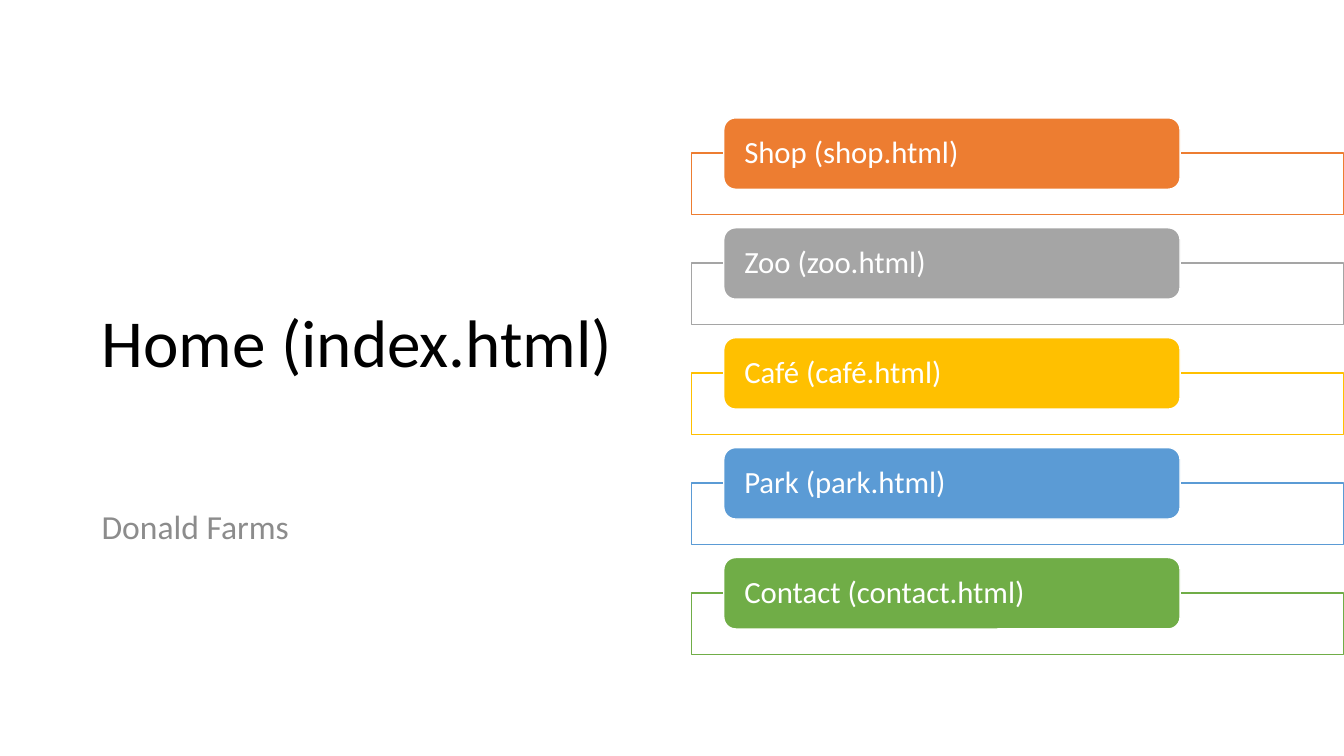
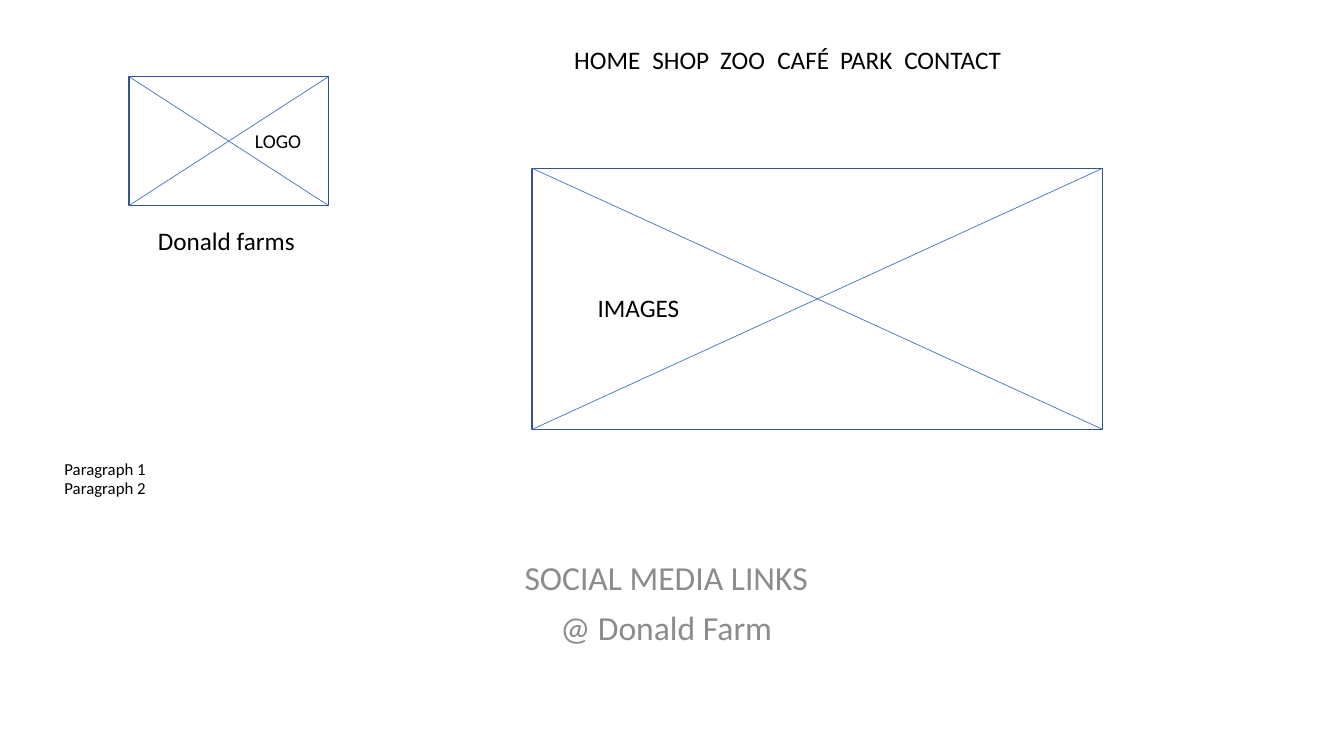
from dataclasses import dataclass

from lxml.etree import SubElement
from pptx import Presentation
from pptx.dml.color import RGBColor
from pptx.enum.shapes import MSO_CONNECTOR as Connector, MSO_SHAPE as Shape
from pptx.enum.text import MSO_ANCHOR as Anchor, MSO_AUTO_SIZE as AutoSize, PP_ALIGN as Align
from pptx.oxml.ns import qn
from pptx.util import Cm, Pt


@dataclass(frozen=True)
class Theme:
    font: str = "Calibri"
    black: str = "000000"
    white: str = "FFFFFF"
    muted: str = "8C8C8C"
    frame: str = "325491"
    diagonal: str = "4472C4"
    title_size: int = 48
    body_size: int = 24
    page_size: int = 22
    label_size: int = 18
    logo_size: int = 14
    note_size: int = 12
    outline: float = 1
    hairline: float = 0.5
    line_spacing: float = 0.9
    space_before: int = 10


THEME = Theme()
TITLE_ONLY = 5

HOME = {
    "title": "Home (index.html)",
    "title_box": (2.31, 4.75, 29.21, 7.92),
    "body": ["Donald Farms"],
    "body_box": (2.31, 12.75, 29.21, 4.17),
}
PAGES = [
    ("Shop (shop.html)", "ED7D31"),
    ("Zoo (zoo.html)", "A5A5A5"),
    ("Café (café.html)", "FFC000"),
    ("Park (park.html)", "5B9BD5"),
    ("Contact (contact.html)", "70AD47"),
]
PAGE_PITCH = 2.77
PANEL_BOX = (17.42, 3.86, 16.44, 1.55)
PAGE_BOX = (18.24, 2.97, 11.5, 1.8)
PAGE_INSET = 0.43

WIREFRAME = {
    "title": "Paragraph 1\vParagraph 2",
    "title_box": (1.37, 0.86, 30.84, 11.81),
    "body": ["SOCIAL MEDIA LINKS", "@ Donald Farm"],
    "body_box": (1.37, 14.02, 30.84, 4.17),
}
LOGO_BOX = (3.25, 1.93, 5.03, 3.25)
LOGO_INSET = 2.74
IMAGE_BOX = (13.41, 4.24, 14.38, 6.58)
MENU = ["HOME", "SHOP", "ZOO", "CAFÉ", "PARK", "CONTACT"]
MENU_BOX = (14.22, 0.99, 12, 1.04)
MENU_STOPS = [1.97, 3.68, 5.12, 6.7, 8.32]
LABELS = [
    ("Donald farms", (3.73, 5.56, 4, 1.02)),
    ("IMAGES", (14.81, 7.24, 2.6, 1.02)),
]


def lengths(box):
    return [Cm(value) for value in box]


def color(code):
    return RGBColor.from_string(code)


def write(frame, lines, size, code, align=Align.LEFT, anchor=Anchor.TOP,
          spacing=None, before=0):
    frame.auto_size = AutoSize.NONE
    frame.word_wrap = True
    frame.vertical_anchor = anchor
    frame.text = "\n".join(lines)
    for paragraph in frame.paragraphs:
        paragraph.alignment = align
        paragraph.line_spacing = spacing
        paragraph.space_before = Pt(before)
        paragraph.font.name = THEME.font
        paragraph.font.size = Pt(size)
        paragraph.font.color.rgb = color(code)


def add_text(slide, box, lines, size, code, **style):
    text_box = slide.shapes.add_textbox(*lengths(box))
    write(text_box.text_frame, lines, size, code, **style)
    return text_box


def add_block(slide, kind, box, fill, line):
    shape = slide.shapes.add_shape(kind, *lengths(box))
    shape.shadow.inherit = False
    shape.fill.solid()
    shape.fill.fore_color.rgb = color(fill)
    shape.line.color.rgb = color(line)
    shape.line.width = Pt(THEME.outline)
    return shape


def add_page(presentation, content, title_size, title_anchor, body_align):
    slide = presentation.slides.add_slide(presentation.slide_layouts[TITLE_ONLY])
    title = slide.shapes.title
    title.left, title.top, title.width, title.height = lengths(content["title_box"])
    write(title.text_frame, [content["title"]], title_size, THEME.black,
          anchor=title_anchor, spacing=THEME.line_spacing)
    add_text(slide, content["body_box"], content["body"], THEME.body_size,
             THEME.muted, align=body_align, spacing=THEME.line_spacing,
             before=THEME.space_before)
    return slide


def add_diagonals(slide, box):
    left, top, width, height = lengths(box)
    right, bottom = left + width, top + height
    for start, end in ((top, bottom), (bottom, top)):
        line = slide.shapes.add_connector(Connector.STRAIGHT, left, start, right, end)
        line.line.color.rgb = color(THEME.diagonal)
        line.line.width = Pt(THEME.hairline)
        SubElement(line.element.spPr, qn("a:effectLst"))


def add_menu(slide):
    menu = add_text(slide, MENU_BOX, ["\t".join(MENU)], THEME.label_size, THEME.black)
    properties = menu.text_frame.paragraphs[0].font._element.getparent()
    stops = SubElement(properties, qn("a:tabLst"))
    properties.insert(len(properties) - 2, stops)
    for position in MENU_STOPS:
        SubElement(stops, qn("a:tab"), pos=str(Cm(position)), algn="l")


def build_home(presentation):
    slide = add_page(presentation, HOME, THEME.title_size, Anchor.MIDDLE, Align.LEFT)
    for index, (name, accent) in enumerate(PAGES):
        offset = index * PAGE_PITCH
        panel_box, page_box = (
            (left, top + offset, width, height)
            for left, top, width, height in (PANEL_BOX, PAGE_BOX)
        )
        add_block(slide, Shape.RECTANGLE, panel_box, THEME.white, accent)
        page = add_block(slide, Shape.ROUNDED_RECTANGLE, page_box, accent, THEME.white)
        frame = page.text_frame
        write(frame, [name], THEME.page_size, THEME.white,
              anchor=Anchor.MIDDLE, spacing=THEME.line_spacing)
        frame.margin_left = frame.margin_right = Cm(PAGE_INSET)
        frame.margin_top = frame.margin_bottom = 0


def build_wireframe(presentation):
    slide = add_page(presentation, WIREFRAME, THEME.note_size, Anchor.BOTTOM, Align.CENTER)
    logo, _ = [
        add_block(slide, Shape.RECTANGLE, box, THEME.white, THEME.frame)
        for box in (LOGO_BOX, IMAGE_BOX)
    ]
    write(logo.text_frame, ["LOGO"], THEME.logo_size, THEME.black,
          align=Align.CENTER, anchor=Anchor.MIDDLE)
    logo.text_frame.margin_left = Cm(LOGO_INSET)
    for box in (LOGO_BOX, IMAGE_BOX):
        add_diagonals(slide, box)
    add_menu(slide)
    for text, box in LABELS:
        add_text(slide, box, [text], THEME.label_size, THEME.black)


def main():
    presentation = Presentation()
    presentation.slide_width, presentation.slide_height = Cm(33.87), Cm(19.05)
    build_home(presentation)
    build_wireframe(presentation)
    presentation.save("out.pptx")


if __name__ == "__main__":
    main()
